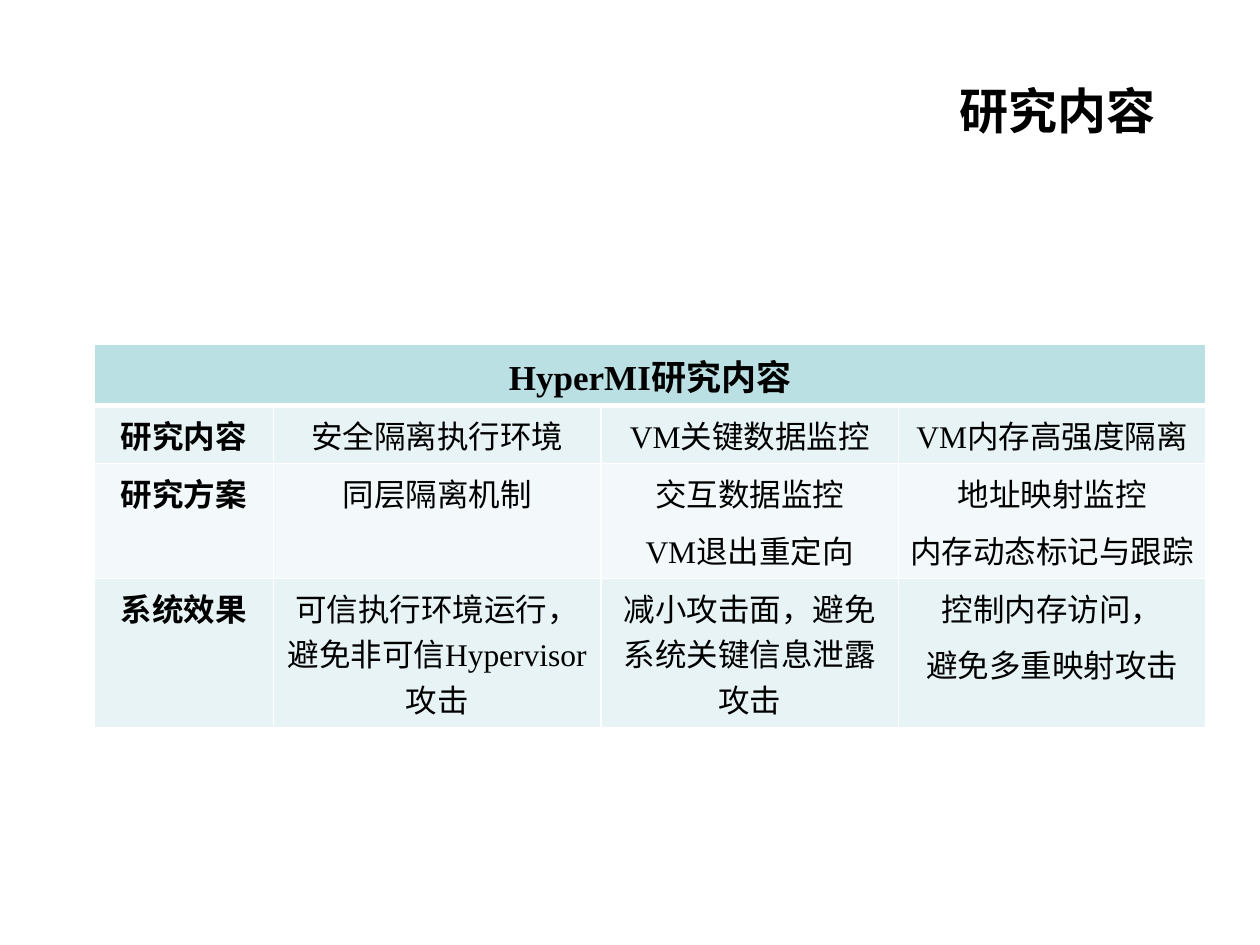
"""Build the research content slide with its title and overview table."""
from dataclasses import dataclass

from lxml.etree import SubElement
from pptx import Presentation
from pptx.dml.color import RGBColor
from pptx.enum.text import MSO_ANCHOR, PP_ALIGN
from pptx.oxml.ns import qn
from pptx.slide import Slide
from pptx.table import Table, _Cell
from pptx.text.text import TextFrame
from pptx.util import Inches, Pt

BLACK = RGBColor(0x00, 0x00, 0x00)
WHITE = RGBColor(0xFF, 0xFF, 0xFF)
HEADER_TEAL = RGBColor(0xBB, 0xE0, 0xE3)
BAND_TEAL = RGBColor(0xE7, 0xF3, 0xF4)
BAND_PALE = RGBColor(0xF3, 0xF9, 0xFA)

COLUMN_WIDTHS = (1.42, 2.6, 2.36, 2.44)
ROW_HEIGHTS = (0.49, 0.46, 0.91, 1.19)
THIN, THICK = Pt(1), Pt(3)
SPACING_RATIO = 0.35


@dataclass(frozen=True)
class TopicRow:
    label: str
    entries: tuple[str, str, str]
    fill: RGBColor


HEADER = "HyperMI研究内容"
TOPIC_ROWS = (
    TopicRow("研究内容", ("安全隔离执行环境", "VM关键数据监控", "VM内存高强度隔离"), BAND_TEAL),
    TopicRow(
        "研究方案",
        ("同层隔离机制", "交互数据监控\nVM退出重定向", "地址映射监控\n内存动态标记与跟踪"),
        BAND_PALE,
    ),
    TopicRow(
        "系统效果",
        (
            "可信执行环境运行，避免非可信Hypervisor攻击",
            "减小攻击面，避免系统关键信息泄露攻击",
            "控制内存访问，\n避免多重映射攻击",
        ),
        BAND_TEAL,
    ),
)


def write_text(text_frame: TextFrame, text: str, font_name: str, size: float,
               bold: bool, alignment: PP_ALIGN, space_after: float = 0) -> None:
    text_frame.text = text
    text_frame.word_wrap = True
    for paragraph in text_frame.paragraphs:
        paragraph.alignment = alignment
        paragraph.space_after = Pt(space_after)
        for run in paragraph.runs:
            run.font.name = font_name
            run.font.size = Pt(size)
            run.font.bold = bold
            run.font.color.rgb = BLACK


def set_borders(cell: _Cell, top: int, bottom: int) -> None:
    properties = cell._tc.get_or_add_tcPr()
    for side, width in (("L", THIN), ("R", THIN), ("T", top), ("B", bottom)):
        line = SubElement(properties, qn(f"a:ln{side}"), w=str(width))
        fill = SubElement(line, qn("a:solidFill"))
        SubElement(fill, qn("a:srgbClr"), val=str(WHITE))


def style_cell(cell: _Cell, fill: RGBColor, top: int = THIN, bottom: int = THIN) -> None:
    set_borders(cell, top, bottom)
    cell.fill.solid()
    cell.fill.fore_color.rgb = fill
    cell.margin_left = cell.margin_right = Inches(0.07)
    cell.margin_top = cell.margin_bottom = Inches(0.05)


def write_cell(cell: _Cell, text: str, size: float, bold: bool) -> None:
    write_text(cell.text_frame, text, "Times New Roman", size, bold,
               PP_ALIGN.CENTER, round(size * SPACING_RATIO, 2))


def fill_header(table: Table) -> None:
    for cell in table.rows[0].cells:
        style_cell(cell, HEADER_TEAL, bottom=THICK)
    header_cell = table.cell(0, 0)
    header_cell.merge(table.cell(0, len(COLUMN_WIDTHS) - 1))
    write_cell(header_cell, HEADER, 20, True)


def fill_topic(table: Table, row_index: int, topic: TopicRow) -> None:
    top = THICK if row_index == 1 else THIN
    for column_index, text in enumerate((topic.label, *topic.entries)):
        cell = table.cell(row_index, column_index)
        style_cell(cell, topic.fill, top=top)
        write_cell(cell, text, 18, column_index == 0)


def add_title(slide: Slide) -> None:
    title = slide.shapes.add_textbox(Inches(0.75), Inches(0.52), Inches(8.52), Inches(0.71))
    title.text_frame.vertical_anchor = MSO_ANCHOR.MIDDLE
    write_text(title.text_frame, "研究内容", "Arial", 28, True, PP_ALIGN.RIGHT)


def add_overview_table(slide: Slide) -> None:
    table = slide.shapes.add_table(
        len(ROW_HEIGHTS), len(COLUMN_WIDTHS), Inches(0.75), Inches(2.73),
        Inches(sum(COLUMN_WIDTHS)), Inches(sum(ROW_HEIGHTS)),
    ).table
    table.first_row = False
    table.horz_banding = False
    for column, width in zip(table.columns, COLUMN_WIDTHS):
        column.width = Inches(width)
    for row, height in zip(table.rows, ROW_HEIGHTS):
        row.height = Inches(height)
    fill_header(table)
    for row_index, topic in enumerate(TOPIC_ROWS, start=1):
        fill_topic(table, row_index, topic)


def main() -> None:
    presentation = Presentation()
    presentation.slide_width = Inches(10)
    presentation.slide_height = Inches(7.5)
    slide = presentation.slides.add_slide(presentation.slide_layouts[6])
    add_title(slide)
    add_overview_table(slide)
    presentation.save("out.pptx")


if __name__ == "__main__":
    main()
